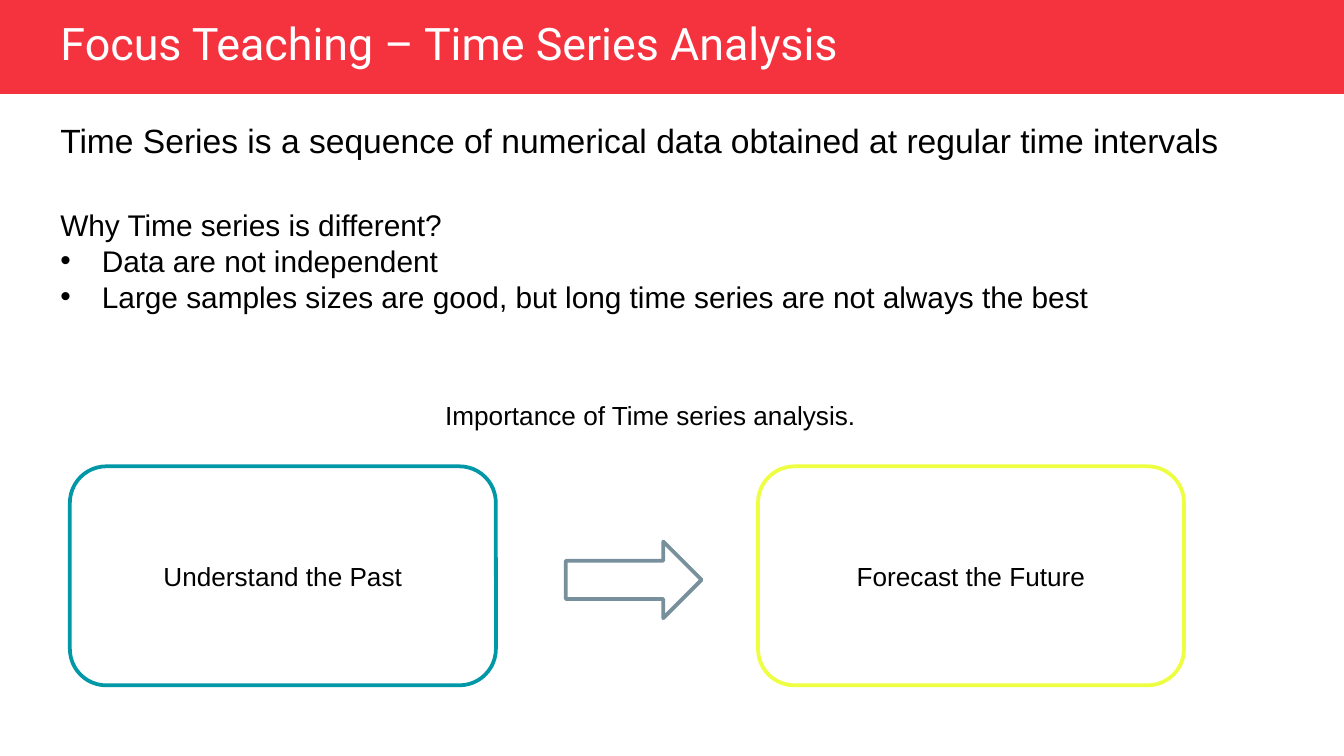
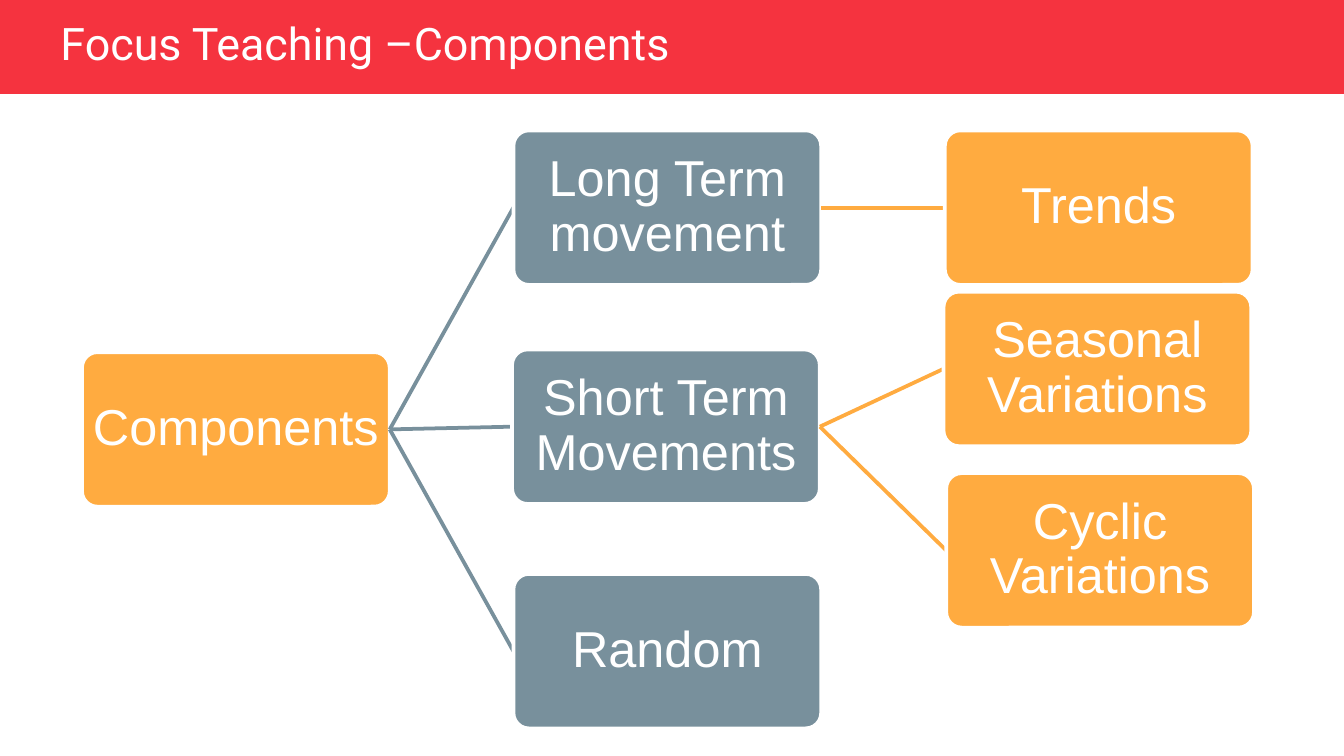
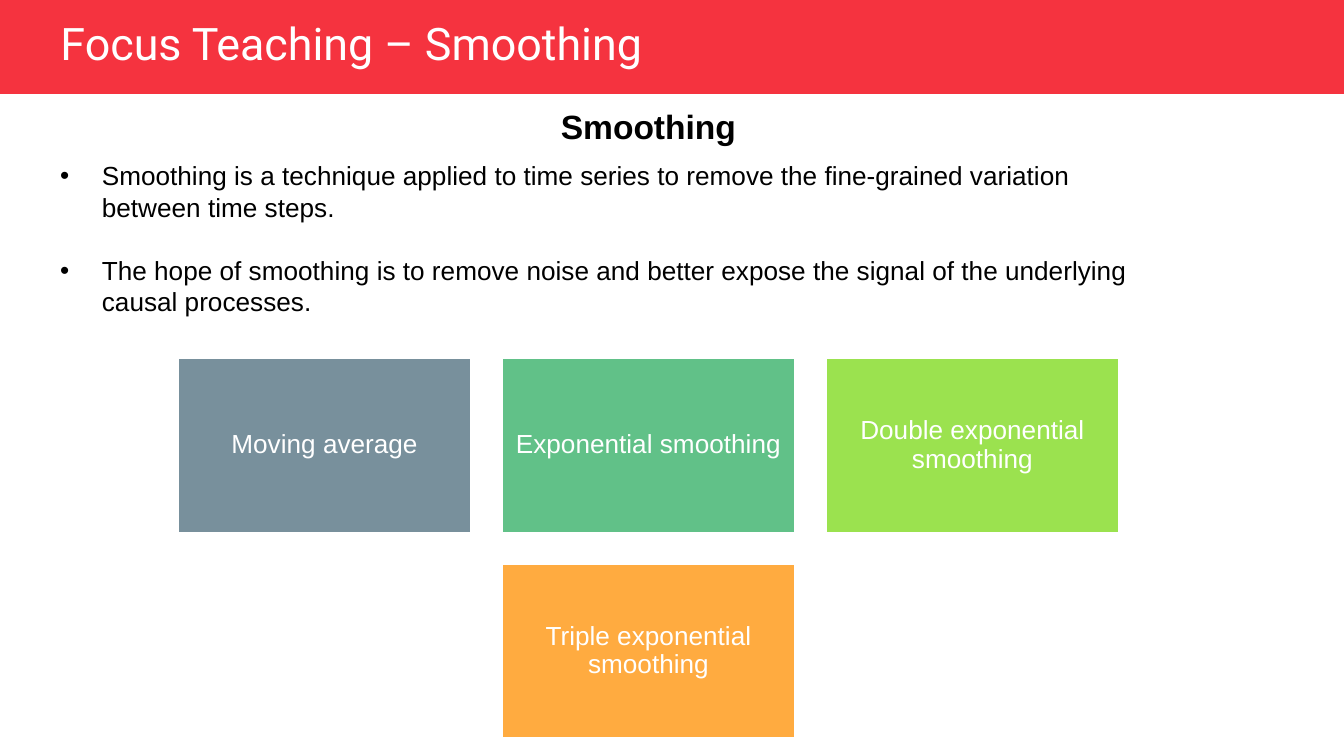
import pptx
import pptx.util
import pptx.dml.color
import pptx.enum.shapes
import pptx.enum.text
import pptx.oxml.ns
import lxml.etree

Inches, Pt = pptx.util.Inches, pptx.util.Pt
RGB = pptx.dml.color.RGBColor
Kind = pptx.enum.shapes.MSO_SHAPE
Align = pptx.enum.text.PP_ALIGN
Middle = pptx.enum.text.MSO_ANCHOR.MIDDLE

# Shared colours and fonts
RED = RGB(0xF5, 0x33, 0x3F)
WHITE = RGB(0xFF, 0xFF, 0xFF)
BLACK = RGB(0, 0, 0)
SLATE = RGB(0x78, 0x90, 0x9C)
AMBER = RGB(0xFF, 0xAB, 0x40)
TEAL = RGB(0, 0x97, 0xA7)
YELLOW = RGB(0xEE, 0xFF, 0x41)
GREEN = RGB(0x61, 0xC1, 0x88)
LIME = RGB(0x9B, 0xE2, 0x4F)
BODY, HEAD = "Arial", "Roboto"

# Content: title and title width of each slide
TITLES = [
    ("Focus Teaching – Time Series Analysis", 6.69),
    ("Focus Teaching –Components", 8.25),
    ("Focus Teaching – Smoothing", 6.69),
]

# Slide 1
MEANING = ["Time Series is a sequence of numerical data obtained at regular time intervals"]
REASONS = [
    "Why Time series is different?",
    "Data are not independent",
    "Large samples sizes are good, but long time series are not always the best",
]
VALUE = ["Importance of Time series analysis."]
GOALS = [("Understand the Past", 0.52, TEAL), ("Forecast the Future", 5.64, YELLOW)]

# Slide 2: label, left, top, fill, parent
NODE_W, NODE_H = 2.29, 1.15
TREE = [
    ("Components", 0.61, 2.62, AMBER, None),
    ("Long Term movement", 3.82, 0.97, SLATE, "Components"),
    ("Trends", 7.03, 0.97, AMBER, "Long Term movement"),
    ("Short Term Movements", 3.81, 2.6, SLATE, "Components"),
    ("Seasonal Variations", 7.02, 2.17, AMBER, "Short Term Movements"),
    ("Cyclic Variations", 7.04, 3.52, AMBER, "Short Term Movements"),
    ("Random", 3.82, 4.27, SLATE, "Components"),
]

# Slide 3: label, column, row, fill
SMOOTH = [
    "Smoothing is a technique applied to time series to remove the fine-grained "
    "variation between time steps.",
    "The hope of smoothing is to remove noise and better expose the signal of the "
    "underlying causal processes.",
]
TILE_W, TILE_H, GAP = 2.19, 1.31, 0.22
TILES = [
    ("Moving average", 0, 0, SLATE),
    ("Exponential smoothing", 1, 0, GREEN),
    ("Double exponential smoothing", 2, 0, LIME),
    ("Triple exponential smoothing", 1, 1, AMBER),
]


def style(para, size, color, face=BODY, align=Align.LEFT, bold=False):
    para.alignment = align
    for run in para.runs:
        run.font.size = Pt(size)
        run.font.name = face
        run.font.bold = bold
        run.font.color.rgb = color


def bullet(para):
    props = para._p.get_or_add_pPr()
    props.set("marL", str(Inches(0.31)))
    props.set("indent", str(-Inches(0.31)))
    tint = lxml.etree.SubElement(props, pptx.oxml.ns.qn("a:buClr"))
    lxml.etree.SubElement(tint, pptx.oxml.ns.qn("a:srgbClr"), val=str(BLACK))
    lxml.etree.SubElement(props, pptx.oxml.ns.qn("a:buFont"), typeface=BODY)
    lxml.etree.SubElement(props, pptx.oxml.ns.qn("a:buChar"), char="•")


def note(slide, place, lines, size, first=None, gap=0, **look):
    """Text box; lines from index first on are bulleted."""
    frame = slide.shapes.add_textbox(*map(Inches, place)).text_frame
    frame.word_wrap = True
    frame.auto_size = pptx.enum.text.MSO_AUTO_SIZE.SHAPE_TO_FIT_TEXT
    frame.text = "\n".join(lines)
    for i, para in enumerate(frame.paragraphs):
        if first is not None and i >= first:
            bullet(para)
        if i and gap:
            para.space_before = Pt(gap)
        style(para, size, BLACK, **look)


def block(slide, kind, place, fill, line, text="", size=14, color=WHITE,
          inset=None, lead=None):
    shape = slide.shapes.add_shape(kind, *map(Inches, place))
    shape.shadow.inherit = False
    shape.fill.solid()
    shape.fill.fore_color.rgb = fill
    shape.line.color.rgb = line
    shape.line.width = Pt(2)
    if text:
        frame = shape.text_frame
        frame.word_wrap = True
        frame.vertical_anchor = Middle
        if inset is not None:
            frame.margin_left = frame.margin_right = Inches(inset)
            frame.margin_top = frame.margin_bottom = Inches(inset)
        frame.text = text
        para = frame.paragraphs[0]
        para.line_spacing = lead
        style(para, size, color, align=Align.CENTER)
    return shape


def link(slide, start, end, color):
    line = slide.shapes.add_connector(
        pptx.enum.shapes.MSO_CONNECTOR.STRAIGHT, *map(Inches, start + end))
    line.line.color.rgb = color
    line.line.width = Pt(2)
    lxml.etree.SubElement(line._element.spPr, pptx.oxml.ns.qn("a:effectLst"))


def start(deck, name, width):
    slide = deck.slides.add_slide(deck.slide_layouts[5])
    title = slide.shapes.title
    title.left, title.top = Inches(0.35), Inches(0.13)
    title.width, title.height = Inches(width), Inches(0.42)
    frame = title.text_frame
    frame.text = name
    frame.vertical_anchor = Middle
    frame.auto_size = pptx.enum.text.MSO_AUTO_SIZE.NONE
    frame.paragraphs[0].line_spacing = 0.9
    style(frame.paragraphs[0], 24, WHITE, HEAD)
    return slide


def add_band(deck, slide):
    """Put the red band on the layout, behind every title."""
    band = block(slide, Kind.RECTANGLE, (0, 0, 10, 0.7), RED, RED)
    band.line.fill.background()
    deck.slide_layouts[5].shapes.element.insert(2, band.element)


def intro(slide):
    note(slide, (0.35, 0.84, 9.25, 0.4), MEANING, 18)
    note(slide, (0.35, 1.49, 8.98, 1.18), REASONS, 16, first=1)
    note(slide, (0.64, 2.92, 8.4, 0.34), VALUE, 14, align=Align.CENTER)
    for text, left, line in GOALS:
        block(slide, Kind.ROUNDED_RECTANGLE, (left, 3.47, 3.17, 1.63),
              WHITE, line, text, color=BLACK)
    block(slide, Kind.RIGHT_ARROW, (4.21, 4.03, 1.01, 0.57), WHITE, SLATE)


def tree(slide):
    ends = {}
    for text, left, top, fill, root in TREE:
        mid = top + NODE_H / 2
        if root:
            link(slide, ends[root], (left, mid), fill)
        node = block(slide, Kind.ROUNDED_RECTANGLE, (left, top, NODE_W, NODE_H),
                     fill, WHITE, text, 27, inset=0.02, lead=0.9)
        node.adjustments[0] = 0.1
        ends[text] = (left + NODE_W, mid)


def smooth(slide):
    note(slide, (0.35, 1.14, 8.26, 1.28), SMOOTH, 14, first=0, gap=17)
    for text, col, row, fill in TILES:
        place = (1.32 + col * (TILE_W + GAP), 2.66 + row * (TILE_H + GAP),
                 TILE_W, TILE_H)
        block(slide, Kind.RECTANGLE, place, fill, WHITE, text, inset=0.06, lead=0.9)
    note(slide, (0.35, 0.74, 8.95, 0.4), ["Smoothing"], 18,
         align=Align.CENTER, bold=True)


def main():
    deck = pptx.Presentation()
    deck.slide_width = Inches(10)
    deck.slide_height = Inches(10 * 9 / 16)
    slides = [start(deck, *title) for title in TITLES]
    add_band(deck, slides[0])
    for fill, slide in zip((intro, tree, smooth), slides):
        fill(slide)
    deck.save("out.pptx")


if __name__ == "__main__":
    main()
